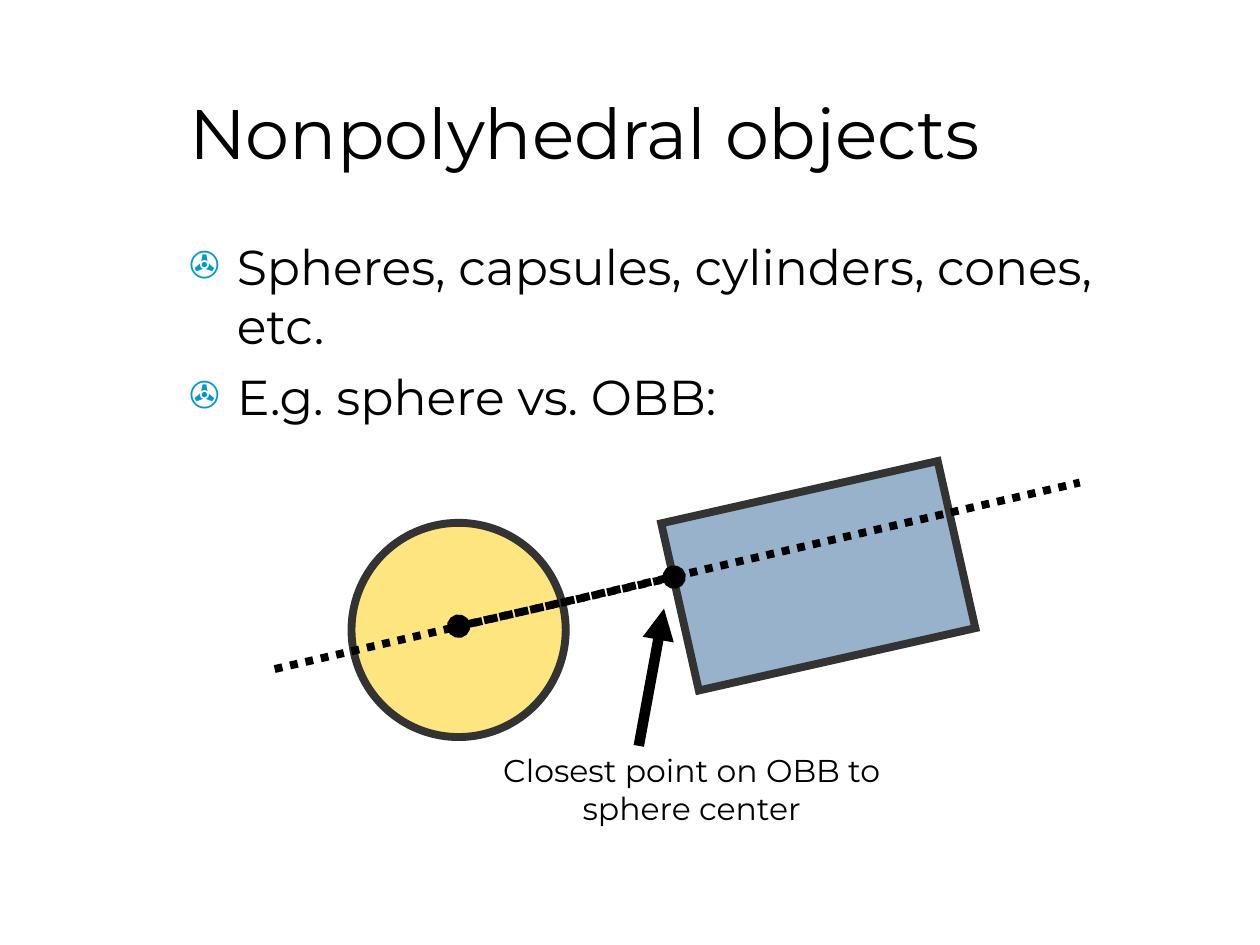
from lxml import etree
from pptx import Presentation
from pptx.dml.color import RGBColor
from pptx.enum.dml import MSO_LINE
from pptx.enum.shapes import MSO_CONNECTOR, MSO_SHAPE
from pptx.enum.text import MSO_ANCHOR, MSO_AUTO_SIZE, PP_ALIGN
from pptx.oxml.ns import qn
from pptx.util import Inches, Pt

LEFT, CENTER = PP_ALIGN.LEFT, PP_ALIGN.CENTER
TOP, MIDDLE = MSO_ANCHOR.TOP, MSO_ANCHOR.MIDDLE
STRAIGHT, DOTTED = MSO_CONNECTOR.STRAIGHT, MSO_LINE.ROUND_DOT
FONT = "Montserrat"
BLACK, OUTLINE, BULLET = "000000", "333333", "0099CC"

TITLE = "Nonpolyhedral objects"
BULLETS = ["Spheres, capsules, cylinders, cones, etc.", "E.g. sphere vs. OBB:"]
CAPTION = "Closest point on OBB to sphere center"
TITLE_BOX = (1.4, 0.42, 7.75, 1.25)
BODY_BOX = (1.4, 1.83, 7.75, 4.83)
CAPTION_BOX = (3.85, 5.91, 3.28, 0.7)
SOLIDS = [
    (MSO_SHAPE.OVAL, (2.79, 4.15, 1.7, 1.7), "FFCC00", 0),
    (MSO_SHAPE.RECTANGLE, (5.37, 3.89, 2.25, 1.36), "336699", 347.3),
]
LINES = [
    {"start": (2.18, 5.31), "end": (8.57, 3.83), "dash": DOTTED},
    {"start": (3.64, 4.97), "end": (5.35, 4.58), "dash": DOTTED, "head": "oval", "tail": "oval"},
    {"start": (5.07, 5.92), "end": (5.27, 4.83), "width": 6, "tail": "triangle"},
]


def color(value):
    return RGBColor.from_string(value)


def add_element(parent, tag, **attributes):
    return etree.SubElement(parent, qn(tag), attributes)


def place(shape, box):
    shape.left, shape.top, shape.width, shape.height = map(Inches, box)


def add_bullet(paragraph):
    properties = paragraph._p.get_or_add_pPr()
    properties.set("marL", str(Inches(0.38)))
    properties.set("indent", str(Inches(-0.38)))
    add_element(add_element(properties, "a:buClr"), "a:srgbClr", val=BULLET)
    add_element(properties, "a:buSzPct", val="75000")
    add_element(properties, "a:buChar", char="✇")


def write_text(shape, lines, size, align=LEFT, anchor=TOP, inset=0.05, gap=0, bullet=False):
    frame = shape.text_frame
    frame.word_wrap = True
    frame.auto_size = MSO_AUTO_SIZE.NONE
    frame.vertical_anchor = anchor
    frame.margin_left = frame.margin_right = Inches(0.1)
    frame.margin_top = frame.margin_bottom = Inches(inset)
    for index, line in enumerate(lines):
        paragraph = frame.add_paragraph() if index else frame.paragraphs[0]
        if bullet:
            add_bullet(paragraph)
        paragraph.alignment = align
        paragraph.space_before = Pt(gap if index else 0)
        run = paragraph.add_run()
        run.text = line
        run.font.name = FONT
        run.font.size = Pt(size)
        run.font.color.rgb = color(BLACK)


def add_solid(slide, preset, box, fill, rotation):
    shape = slide.shapes.add_shape(preset, *map(Inches, box))
    shape.rotation = rotation
    shape.shadow.inherit = False
    shape.fill.solid()
    shape.fill.fore_color.rgb = color(fill)
    fill_color = shape.fill._xPr.find(qn("a:solidFill"))[0]
    add_element(fill_color, "a:alpha", val="50000")
    shape.line.color.rgb = color(OUTLINE)
    shape.line.width = Pt(4.5)
    add_element(shape.line._get_or_add_ln(), "a:miter", lim="800000")


def add_line(slide, start, end, width=4.5, dash=None, head=None, tail=None):
    connector = slide.shapes.add_connector(STRAIGHT, *map(Inches, start + end))
    line = connector.line
    line.color.rgb = color(BLACK)
    line.width = Pt(width)
    if dash:
        line.dash_style = dash
    for tag, kind in (("a:headEnd", head), ("a:tailEnd", tail)):
        if kind:
            add_element(line._get_or_add_ln(), tag, type=kind)
    add_element(connector._element.spPr, "a:effectLst")


def main():
    """Build the slide about collisions of nonpolyhedral objects."""
    presentation = Presentation()
    presentation.slide_width, presentation.slide_height = Inches(10), Inches(7.5)
    slide = presentation.slides.add_slide(presentation.slide_layouts[1])
    title, body = slide.placeholders
    place(title, TITLE_BOX)
    write_text(title, [TITLE], 40, anchor=MIDDLE, inset=0)
    place(body, BODY_BOX)
    write_text(body, BULLETS, 28, gap=7, bullet=True)
    for solid in SOLIDS:
        add_solid(slide, *solid)
    for line in LINES:
        add_line(slide, **line)
    caption = slide.shapes.add_textbox(*map(Inches, CAPTION_BOX))
    write_text(caption, [CAPTION], 18, align=CENTER)
    presentation.save("out.pptx")


if __name__ == "__main__":
    main()
